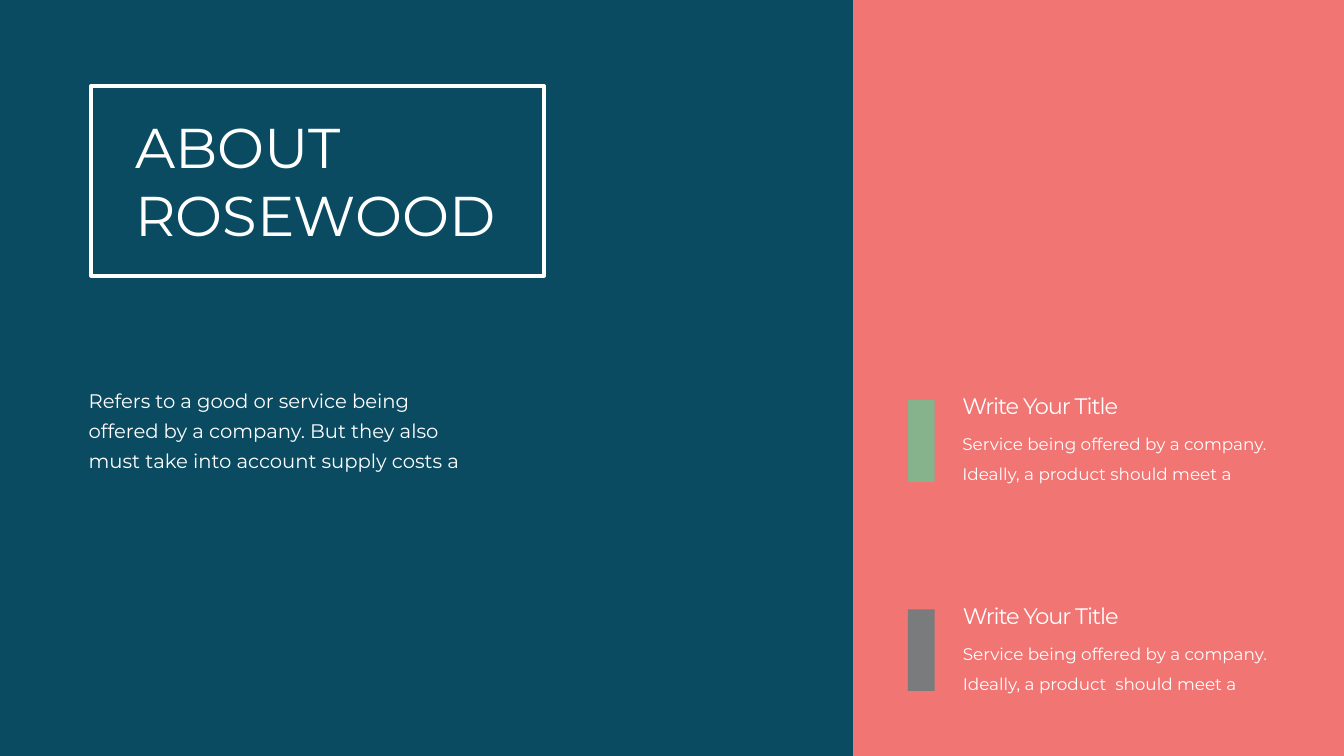
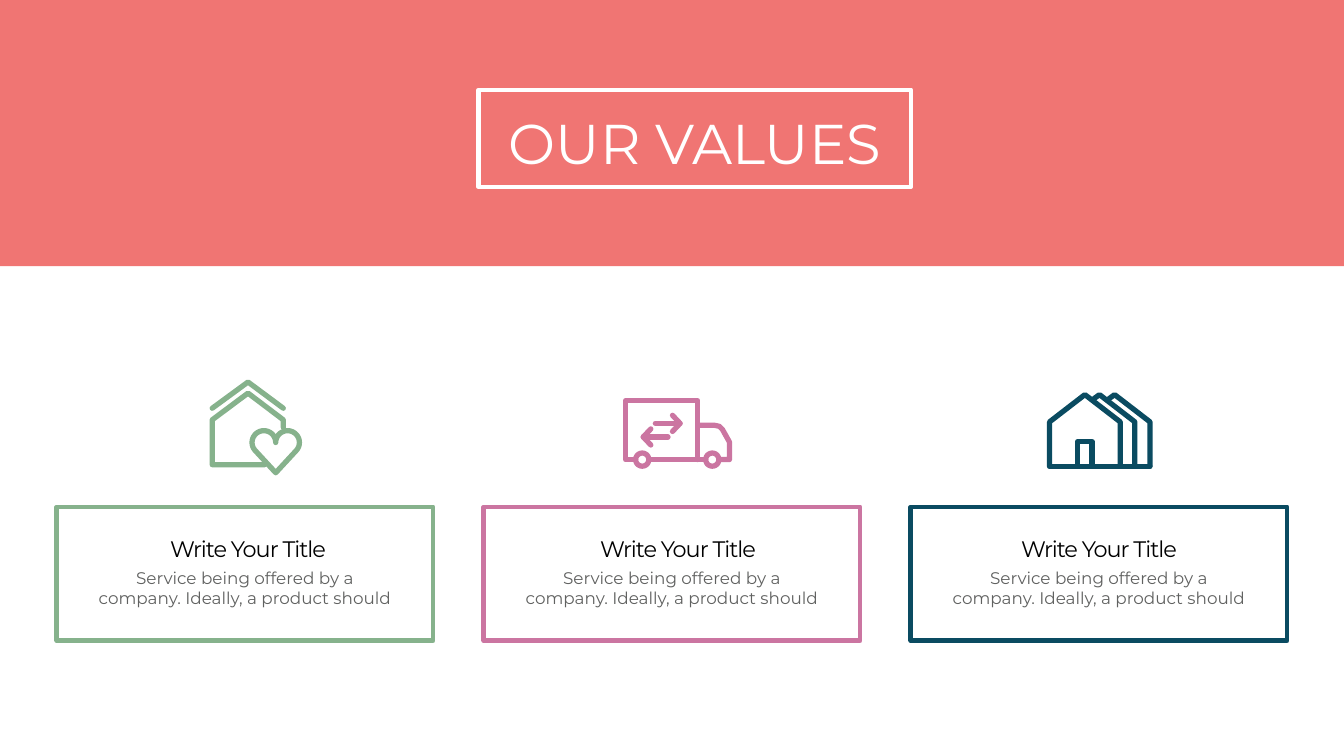
from dataclasses import dataclass
from math import cos, radians, sin
from typing import NamedTuple

from lxml.etree import SubElement
from pptx import Presentation
from pptx.dml.color import RGBColor
from pptx.enum.shapes import MSO_SHAPE
from pptx.enum.text import MSO_ANCHOR, MSO_AUTO_SIZE, PP_ALIGN
from pptx.oxml.ns import qn
from pptx.shapes.autoshape import Shape
from pptx.slide import Slide
from pptx.util import Emu, Pt

PX = 9144
Point = tuple[float, float]
Path = list[Point]


@dataclass(frozen=True)
class Theme:
    """Colours, type sizes and line widths shared by the slides."""
    font: str = "Montserrat"
    white: str = "FFFFFF"
    black: str = "000000"
    coral: str = "F07573"
    navy: str = "0A4B61"
    green: str = "86B28C"
    pink: str = "CB75A1"
    grey: str = "7A7B7D"
    text: str = "606160"
    title: int = 80
    heading: int = 32
    lead: int = 28
    body: int = 24
    title_line: float = 6
    card_line: float = 7
    icon_line: float = 7.5


T = Theme()


class Box(NamedTuple):
    """A rectangle in px, 100 to the inch."""
    x: int
    y: int
    w: int
    h: int

    def emu(self) -> list[Emu]:
        """Return the four lengths in EMU."""
        return [Emu(v * PX) for v in self]


class Style(NamedTuple):
    """How a block of text looks."""
    size: int
    color: str
    spacing: float | Pt = 1.0
    align: PP_ALIGN = PP_ALIGN.LEFT
    inset: tuple[int, int] = (10, 5)
    tracking: int = 0


WIDE = (24, 12)


@dataclass(frozen=True)
class Note:
    """A heading and description beside a coloured bar."""
    x: int
    y: int
    bar_y: int
    color: str
    text: str


@dataclass(frozen=True)
class Value:
    """A framed card with a stroked icon above it."""
    color: str
    heading_center: int
    icon: list[list[Path]]


def arc(cx: float, cy: float, r: float, start: int, end: int) -> Path:
    """Return points along a circle, angles in degrees, y downwards."""
    step = 10 if end > start else -10
    return [(cx + r * cos(radians(a)), cy + r * sin(radians(a)))
            for a in range(start, end + step, step)]


def arrow(tail: int, tip: int, y: int) -> list[Path]:
    """Return the shaft and head of a horizontal arrow."""
    barb = tip - 15 if tip > tail else tip + 15
    return [[(tail, y), (tip, y)], [(barb, y - 16), (tip, y), (barb, y + 16)]]


def home_icon() -> list[list[Path]]:
    """Return a house with a second roof and a heart."""
    roof = [(421, 810), (492, 758), (562, 810)]
    walls = [(562, 848), (562, 833), (492, 780), (421, 833), (421, 922), (525, 922)]
    heart = [*arc(523.5, 878, 23.5, 0, -220), (547, 938),
             *arc(570.5, 878, 23.5, 40, -180)]
    return [[roof], [walls, heart]]


def truck_icon() -> list[list[Path]]:
    """Return a delivery truck with two opposite arrows."""
    axle = 912
    cargo = [(1261, axle), (1241, axle), (1241, 795), (1384, 795), (1384, axle)]
    floor = [(1288, axle), (1400, axle)]
    cab = [(1384, 844), (1418, 844), (1427, 846), (1433, 852), (1447, 877),
           (1447, axle), (1426, axle)]
    wheels = [arc(x, axle, 13, 0, 360) for x in (1274, 1413)]
    return [[cargo, floor, cab, *wheels], arrow(1300, 1349, 840), arrow(1325, 1276, 867)]


def houses_icon() -> list[list[Path]]:
    """Return a row of three houses, one behind the other."""
    base, eave, ridge = 925, 837, 783
    front = [(2082, base), (2082, eave), (2152, ridge), (2222, eave), (2222, base)]
    door = [(2138, base), (2138, 876), (2166, 876), (2166, base)]
    rear = [[(2141 + d, ridge + 8), (2152 + d, ridge), (2222 + d, eave), (2222 + d, base)]
            for d in (29, 59)]
    return [[front, door, *rear, [(2082, base), (2281, base)]]]


def add_rect(s: Slide, box: Box, fill: str = "", line: str = "", width: float = 0) -> Shape:
    """Add a rectangle with a fill, an outline or both."""
    sp = s.shapes.add_shape(MSO_SHAPE.RECTANGLE, *box.emu())
    paint(sp, fill, line, width)
    return sp


def paint(sp: Shape, fill: str, line: str, width: float) -> None:
    """Set fill and outline, and drop the shadow."""
    sp.shadow.inherit = False
    if fill:
        sp.fill.solid()
        sp.fill.fore_color.rgb = RGBColor.from_string(fill)
    else:
        sp.fill.background()
    if line:
        sp.line.color.rgb = RGBColor.from_string(line)
        sp.line.width = Pt(width)
    else:
        sp.line.fill.background()


def add_stroke(s: Slide, paths: list[Path], color: str) -> None:
    """Add one rounded outline made of several paths."""
    scaled = [[(x * PX, y * PX) for x, y in path] for path in paths]
    fb = s.shapes.build_freeform(*scaled[0][0], scale=1.0)
    for i, path in enumerate(scaled):
        if i:
            fb.move_to(*path[0])
        fb.add_line_segments(path[1:], close=False)
    sp = fb.convert_to_shape()
    paint(sp, "", color, T.icon_line)
    ln = sp.element.find(".//" + qn("a:ln"))
    ln.set("cap", "rnd")
    SubElement(ln, qn("a:round"))


def write(sp: Shape, text: str, style: Style) -> None:
    """Fill a text shape with one styled paragraph."""
    tf = sp.text_frame
    tf.text = text
    tf.word_wrap = True
    tf.auto_size = MSO_AUTO_SIZE.NONE
    tf.vertical_anchor = MSO_ANCHOR.TOP
    side, top = (Emu(v * PX) for v in style.inset)
    tf.margin_left = tf.margin_right = side
    tf.margin_top = tf.margin_bottom = top
    p = tf.paragraphs[0]
    p.alignment = style.align
    p.line_spacing = style.spacing
    p.font.name = T.font
    p.font.size = Pt(style.size)
    p.font.color.rgb = RGBColor.from_string(style.color)
    if style.tracking:
        for r in sp.element.iter(qn("a:r")):
            r.get_or_add_rPr().set("spc", str(style.tracking))


def add_text(s: Slide, box: Box, text: str, style: Style) -> None:
    """Add a wrapped text box."""
    write(s.shapes.add_textbox(*box.emu()), text, style)


def set_title(s: Slide, box: Box, frame: Box, text: str, align: PP_ALIGN) -> None:
    """Place the title in front of the panels, inside a white frame."""
    sp = s.shapes.title
    sp.left, sp.top, sp.width, sp.height = box.emu()
    write(sp, text, Style(T.title, T.white, align=align))
    sp.element.getparent().append(sp.element)
    add_rect(s, frame, line=T.white, width=T.title_line)


def add_note(s: Slide, note: Note) -> None:
    """Draw a note on the coral panel."""
    add_text(s, Box(note.x, note.y + 82, 702, 138), note.text,
             Style(T.body, T.white, 1.5, inset=WIDE))
    add_text(s, Box(note.x + 14, note.y, 442, 82), "Write Your Title",
             Style(T.heading, T.white, 1.5, tracking=-150))
    add_rect(s, Box(1801, note.bar_y, 53, 162), note.color)


def add_value(s: Slide, x: int, value: Value) -> None:
    """Draw a value card with its icon."""
    for paths in value.icon:
        add_stroke(s, paths, value.color)
    add_rect(s, Box(x, 1006, 746, 265), line=value.color, width=T.card_line)
    add_text(s, Box(x + 57, 1114, 631, 105),
             "Service being offered by a company. Ideally, a product should",
             Style(T.body, T.text, align=PP_ALIGN.CENTER, inset=WIDE))
    add_text(s, Box(value.heading_center - 190, 1057, 380, 64), "Write Your Title",
             Style(T.heading, T.black, align=PP_ALIGN.CENTER, tracking=-150))


def build_about(s: Slide) -> None:
    """Build the company introduction."""
    add_rect(s, Box(1085, 0, 1581, 1500), T.coral)
    add_rect(s, Box(0, 0, 1692, 1500), T.navy)
    set_title(s, Box(258, 219, 778, 279), Box(181, 171, 898, 376),
              "ABOUT ROSEWOOD", PP_ALIGN.LEFT)
    notes = [
        Note(1885, 746, 794, T.green,
             "Service being offered by a company. Ideally, a product should meet a"),
        Note(1886, 1163, 1209, T.grey,
             "Service being offered by a company. Ideally, a product  should meet a"),
    ]
    for note in notes:
        add_note(s, note)
    add_text(s, Box(152, 747, 810, 200),
             "Refers to a good or service being offered by a company. "
             "But they also must take into account supply costs a",
             Style(T.lead, T.white, Pt(43), inset=WIDE))


def build_values(s: Slide) -> None:
    """Build the three value cards."""
    add_rect(s, Box(0, 0, 2666, 528), T.coral)
    set_title(s, Box(968, 210, 822, 145), Box(949, 178, 858, 193),
              "OUR VALUES", PP_ALIGN.CENTER)
    values = [
        Value(T.green, 492, home_icon()),
        Value(T.pink, 1345, truck_icon()),
        Value(T.navy, 2180, houses_icon()),
    ]
    for i, value in enumerate(values):
        add_value(s, 113 + 847 * i, value)


def main() -> None:
    """Build and save the presentation."""
    prs = Presentation()
    prs.slide_width, prs.slide_height = Emu(2666 * PX), Emu(1500 * PX)
    for build in (build_about, build_values):
        build(prs.slides.add_slide(prs.slide_layouts[5]))
    prs.save("out.pptx")


if __name__ == "__main__":
    main()
